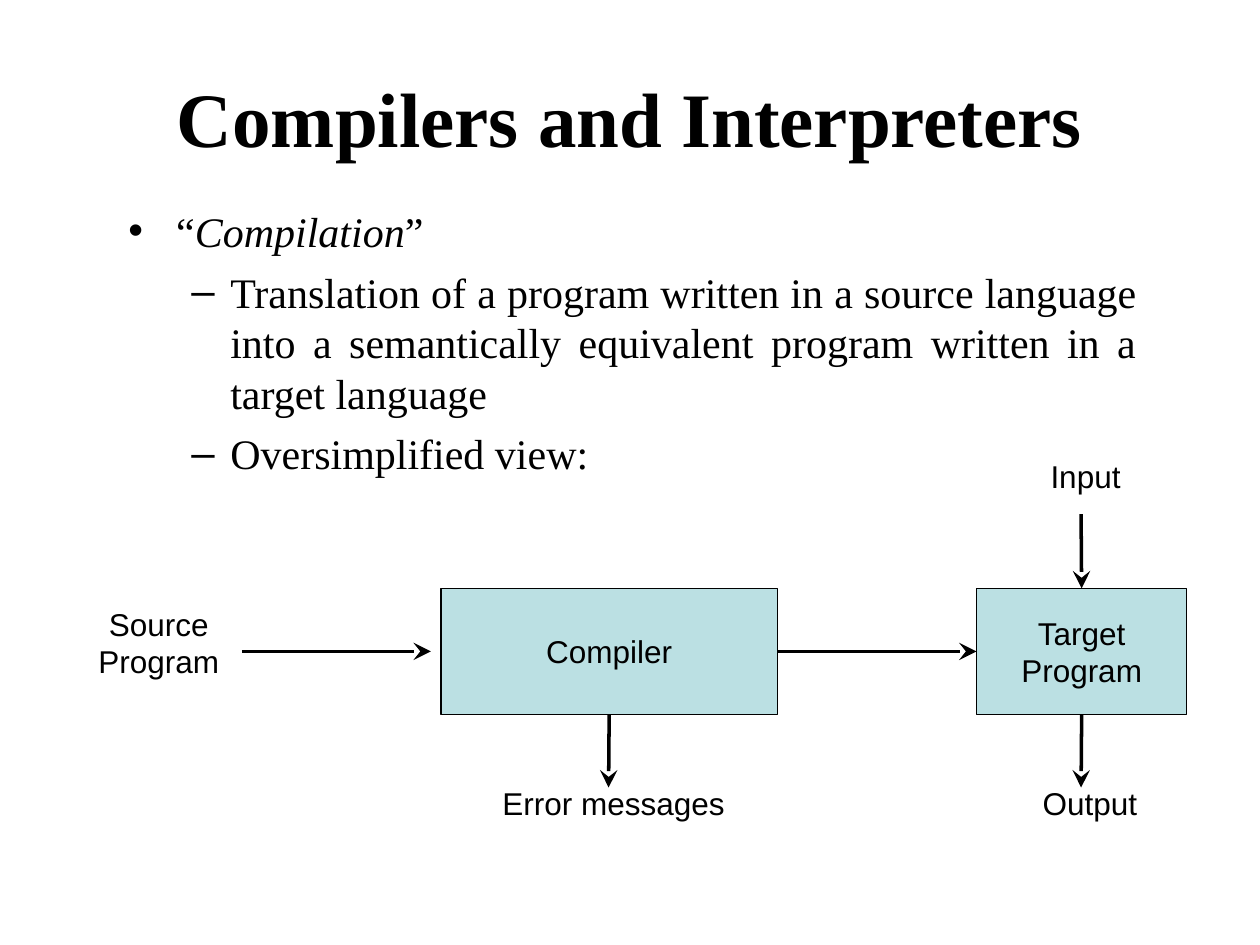
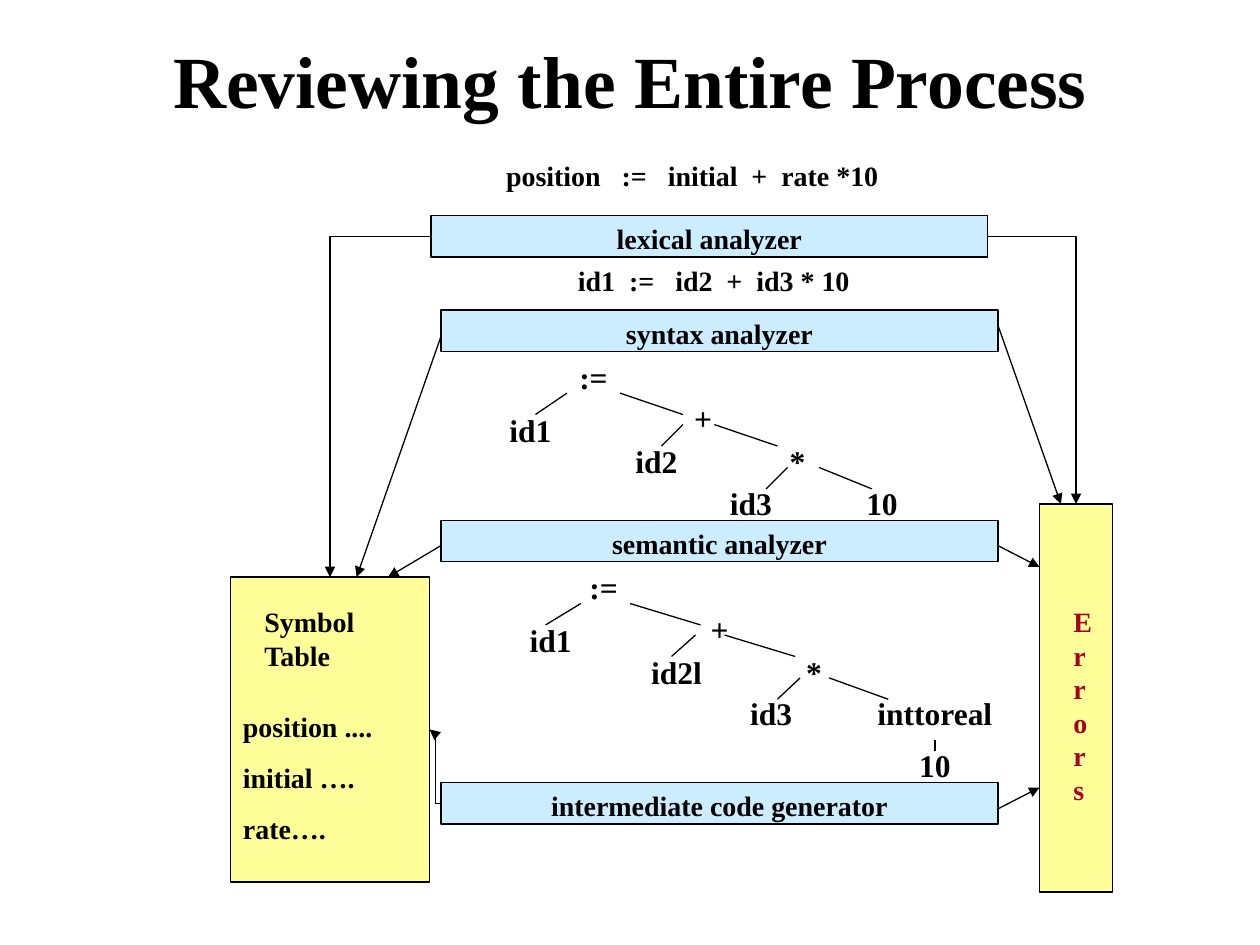
from lxml.etree import SubElement
from pptx import Presentation
from pptx.dml.color import RGBColor
from pptx.enum.shapes import MSO_CONNECTOR as CONNECTOR, MSO_SHAPE as SHAPE
from pptx.enum.text import MSO_ANCHOR as ANCHOR, MSO_AUTO_SIZE as AUTO_SIZE, PP_ALIGN as ALIGN
from pptx.oxml.ns import qn
from pptx.util import Inches, Pt

COLORS = {"ink": "000000", "teal": "BBE0E3", "blue": "CCECFF",
          "yellow": "FFFF99", "red": "A50021"}
SERIF, SANS = "Times New Roman", "Arial"
TOP, LEFT, BOTTOM, RIGHT = range(4)

# Compilers and Interpreters: paragraphs as (level, [(text, italic), ...])
COMPILATION = [
    (0, [("“", False), ("Compilation", True), ("”", False)]),
    (1, [("Translation of a program written in a source language into a "
          "semantically equivalent program written in a target language", False)]),
    (1, [("Oversimplified view:", False)]),
]
BULLETS = [("•", 0.38, -0.38), ("–", 0.81, -0.31)]
PROGRAM_BOXES = {
    "compiler": (["Compiler"], (3.5, 4.67, 2.67, 1)),
    "target": (["Target", "Program"], (7.75, 4.67, 1.67, 1)),
}
FLOW_LABELS = [
    (["Error messages"], (3.77, 6.17, 2.2, 0.4)),
    (["Source", "Program"], (0.66, 4.75, 1.2, 0.7)),
    (["Input"], (8.14, 3.58, 0.95, 0.4)),
    (["Output"], (8.1, 6.17, 1.1, 0.4)),
]
# An end is a point or the (box, side) it is joined to
FLOW_ARROWS = [
    ((1.92, 5.17), (3.42, 5.17)),
    (("compiler", RIGHT), ("target", LEFT)),
    (("compiler", BOTTOM), (4.83, 6.25)),
    (("target", BOTTOM), (8.58, 6.25)),
    ((8.58, 4.08), ("target", TOP)),
]

# Reviewing the Entire Process
PHASES = [("lexical analyzer", 3.42, 1.71), ("syntax analyzer", 3.5, 2.46),
          ("semantic analyzer", 3.5, 4.13), ("intermediate code generator", 3.5, 6.21)]
PHASE_SIZE = (4.42, 0.33)
STORES = {"symbols": (1.83, 4.58, 1.58, 2.42), "errors": (8.25, 4, 0.58, 3.08)}
STORE_TEXTS = [
    (["Symbol Table"], (2, 4.75, 1.08, 0.64), "ink"),
    (["position ....", "initial ….", "rate…."], (1.83, 5.58, 1.58, 1.18), "ink"),
    (["Errors"], (8.42, 4.75, 0.33, 1.7), "red"),
]
STATEMENTS = [("position   :=   initial  +  rate *10", (3.58, 1.21, 3.83, 0.37)),
              ("id1  :=   id2  +  id3 * 10", (3.75, 2.04, 3.83, 0.37))]
PHASE_ARROWS = [
    ((3.5, 2.67), (2.83, 4.58)),
    ((3.5, 4.33), (3.08, 4.58)),
    ((7.92, 6.42), (8.25, 6.25)),
    ((7.92, 4.33), (8.25, 4.5)),
    ((7.92, 2.58), (8.42, 4)),
]
PHASE_ELBOWS = [
    (("lexical analyzer", LEFT), ("symbols", TOP), "bentConnector2"),
    (("intermediate code generator", LEFT), ("symbols", RIGHT), "bentConnector3"),
    (("lexical analyzer", RIGHT), ("errors", TOP), "bentConnector2"),
]
# Each level: operator, its x, left operand, its x, left and right branch (x from, x to)
SYNTAX_TREE = [
    (":=", 4.71, "id1", 4.21, (4.5, 4.25), (4.92, 5.42)),
    ("+", 5.58, "id2", 5.21, (5.42, 5.25), (5.67, 6.17)),
    ("*", 6.33, "id3", 5.96, (6.25, 6.08), (6.5, 6.92)),
]
SEMANTIC_TREE = [
    (":=", 4.79, "id1", 4.37, (4.61, 4.33), (5, 5.56)),
    ("+", 5.71, "id2l", 5.37, (5.52, 5.33), (5.75, 6.31)),
    ("*", 6.46, "id3", 6.12, (6.35, 6.17), (6.58, 7.05)),
]
# Offsets of each level from the top of its tree
OPERATOR_ROWS = (0, 0.33, 0.67)
OPERAND_ROWS = (0.42, 0.67, 1)
BRANCH_ROWS = (0.33, 0.58, 0.92)
BRANCH_HEIGHT = 0.17
NODE_WIDTH, NODE_HEIGHT = 1.25, 0.4


def rgb(name):
    return RGBColor.from_string(COLORS[name])


def format_run(run, size, font, color="ink", bold=False, italic=False):
    run.font.size = Pt(size)
    run.font.name = font
    run.font.color.rgb = rgb(color)
    run.font.bold = bold
    run.font.italic = italic


def write(shape, lines, size=16, font=SERIF, color="ink", bold=True,
          align=ALIGN.LEFT, anchor=ANCHOR.TOP, wrap=True, space_before=0):
    frame = shape.text_frame
    frame.word_wrap = wrap
    frame.vertical_anchor = anchor
    frame.text = "\n".join(lines)
    for paragraph in frame.paragraphs:
        paragraph.alignment = align
        paragraph.space_before = Pt(space_before)
        for run in paragraph.runs:
            format_run(run, size, font, color, bold)
    return shape


def add_text(slide, lines, box, **text_format):
    shape = slide.shapes.add_textbox(*map(Inches, box))
    shape.text_frame.auto_size = AUTO_SIZE.SHAPE_TO_FIT_TEXT
    return write(shape, lines, **text_format)


def add_box(slide, box, fill):
    shape = slide.shapes.add_shape(SHAPE.RECTANGLE, *map(Inches, box))
    shape.shadow.inherit = False
    shape.fill.solid()
    shape.fill.fore_color.rgb = rgb(fill)
    shape.line.color.rgb = rgb("ink")
    shape.line.width = Pt(0.75)
    return shape


def locate(end, boxes):
    """Return the point of an end, and the box it is joined to, if any."""
    if end[0] not in boxes:
        return tuple(map(Inches, end)), None
    box, side = boxes[end[0]], end[1]
    x = box.left + {LEFT: 0, RIGHT: box.width}.get(side, box.width // 2)
    y = box.top + {TOP: 0, BOTTOM: box.height}.get(side, box.height // 2)
    return (x, y), box


def add_line(slide, start, end, boxes=(), width=0.75, head=None, head_size="med", elbow=None):
    (start_point, start_box), (end_point, end_box) = locate(start, boxes), locate(end, boxes)
    kind = CONNECTOR.ELBOW if elbow else CONNECTOR.STRAIGHT
    connector = slide.shapes.add_connector(kind, *start_point, *end_point)
    if start_box is not None:
        connector.begin_connect(start_box, start[1])
    if end_box is not None:
        connector.end_connect(end_box, end[1])
    connector.line.color.rgb = rgb("ink")
    connector.line.width = Pt(width)
    properties = connector._element.spPr
    if elbow:
        properties.find(qn("a:prstGeom")).set("prst", elbow)
    if head:
        SubElement(properties.find(qn("a:ln")), qn("a:tailEnd"),
                   type=head, w=head_size, len=head_size)
    SubElement(properties, qn("a:effectLst"))


def add_titled_slide(presentation, title, top, size):
    slide = presentation.slides.add_slide(presentation.slide_layouts[5])
    placeholder = slide.shapes.title
    placeholder.left, placeholder.top = Inches(0.5), Inches(top)
    placeholder.width, placeholder.height = Inches(9), Inches(1.25)
    write(placeholder, [title], size=size, align=ALIGN.CENTER, anchor=ANCHOR.MIDDLE)
    return slide


def add_bullets(slide, items, box):
    frame = slide.shapes.add_textbox(*map(Inches, box)).text_frame
    frame.word_wrap = True
    for index, (level, parts) in enumerate(items):
        paragraph = frame.add_paragraph() if index else frame.paragraphs[0]
        paragraph.level = level
        paragraph.alignment = ALIGN.JUSTIFY
        paragraph.space_before = Pt(6)
        for text, italic in parts:
            run = paragraph.add_run()
            run.text = text
            format_run(run, 24, SERIF, italic=italic)
        mark, margin, indent = BULLETS[level]
        properties = paragraph._p.get_or_add_pPr()
        properties.set("marL", str(Inches(margin)))
        properties.set("indent", str(Inches(indent)))
        SubElement(properties, qn("a:buFont"), typeface=SANS)
        SubElement(properties, qn("a:buChar"), char=mark)


def add_node(slide, text, x, top):
    """Write one tree node centred on x."""
    add_text(slide, [text], (x - NODE_WIDTH / 2, top, NODE_WIDTH, NODE_HEIGHT),
             size=18, align=ALIGN.CENTER, space_before=11.2)


def add_tree(slide, levels, top, last_operand, last_x):
    rows = zip(levels, OPERATOR_ROWS, OPERAND_ROWS, BRANCH_ROWS)
    for level, operator_row, operand_row, branch_row in rows:
        operator, operator_x, operand, operand_x, *branches = level
        add_node(slide, operator, operator_x, top + operator_row)
        add_node(slide, operand, operand_x, top + operand_row)
        branch_top = top + branch_row
        for x_from, x_to in branches:
            add_line(slide, (x_from, branch_top), (x_to, branch_top + BRANCH_HEIGHT))
    add_node(slide, last_operand, last_x, top + OPERAND_ROWS[-1])


def build_compilers(presentation):
    slide = add_titled_slide(presentation, "Compilers and Interpreters", 0.3, 44)
    add_bullets(slide, COMPILATION, (0.92, 1.58, 8.2, 5.25))
    label = dict(size=18, font=SANS, bold=False, align=ALIGN.CENTER, wrap=False)
    boxes = {}
    for name, (lines, box) in PROGRAM_BOXES.items():
        boxes[name] = write(add_box(slide, box, "teal"), lines,
                            anchor=ANCHOR.MIDDLE, **label)
    for lines, box in FLOW_LABELS:
        add_text(slide, lines, box, **label)
    for start, end in FLOW_ARROWS:
        add_line(slide, start, end, boxes, width=2, head="stealth", head_size="lg")


def build_process(presentation):
    slide = add_titled_slide(presentation, "Reviewing the Entire Process", 0, 42)
    boxes = {name: add_box(slide, box, "yellow") for name, box in STORES.items()}
    for lines, box, color in STORE_TEXTS:
        add_text(slide, lines, box, color=color, space_before=10)
    for text, box in STATEMENTS:
        add_text(slide, [text], box, align=ALIGN.CENTER, space_before=10)
    for name, left, top in PHASES:
        phase = add_box(slide, (left, top, *PHASE_SIZE), "blue")
        phase.text_frame.margin_bottom = 0
        boxes[name] = write(phase, [name], align=ALIGN.CENTER, space_before=10)
    add_tree(slide, SYNTAX_TREE, 2.79, "10", 7)
    add_tree(slide, SEMANTIC_TREE, 4.46, "inttoreal", 7.42)
    add_line(slide, (7.42, 5.87), (7.42, 5.96))
    add_node(slide, "10", 7.42, 5.87)
    for start, end in PHASE_ARROWS:
        add_line(slide, start, end, head="triangle")
    for start, end, elbow in PHASE_ELBOWS:
        add_line(slide, start, end, boxes, head="triangle", elbow=elbow)


def main():
    presentation = Presentation()
    presentation.slide_width, presentation.slide_height = Inches(10), Inches(7.5)
    build_compilers(presentation)
    build_process(presentation)
    presentation.save("out.pptx")


if __name__ == "__main__":
    main()
